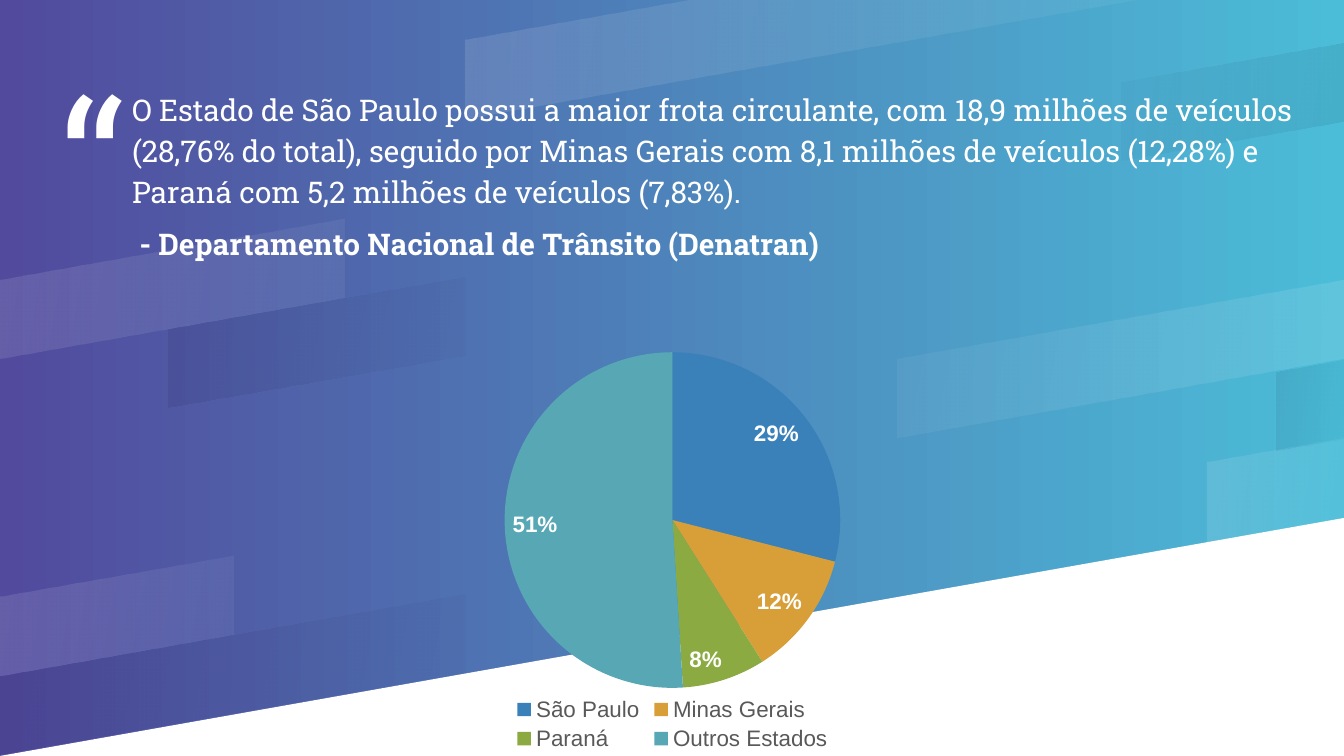
from lxml import etree
from pptx import Presentation
from pptx.chart.data import CategoryChartData
from pptx.dml.color import RGBColor
from pptx.enum.chart import XL_CHART_TYPE, XL_LABEL_POSITION, XL_LEGEND_POSITION
from pptx.enum.text import PP_ALIGN
from pptx.oxml import parse_xml
from pptx.oxml.ns import nsdecls, qn
from pptx.util import Pt

PIE = XL_CHART_TYPE.PIE
INSIDE = XL_LABEL_POSITION.INSIDE_END
BOTTOM = XL_LEGEND_POSITION.BOTTOM
CENTER = PP_ALIGN.CENTER

PX = 9144000 / 1344
WIDE, HIGH = 1344, 756
SLOPE, THICK = 0.177, 79

WHITE = RGBColor(0xFF, 0xFF, 0xFF)
BLACK = RGBColor(0, 0, 0)
NIGHT = RGBColor(0x00, 0x00, 0x1A)
PURPLE = RGBColor(0x51, 0x4A, 0x9D)
CYAN = RGBColor(0x4B, 0xBD, 0xD8)
GRAY = RGBColor(0x59, 0x59, 0x59)
BLUE = RGBColor(0x3A, 0x81, 0xBA)
ORANGE = RGBColor(0xD8, 0x9F, 0x39)
GREEN = RGBColor(0x8B, 0xAB, 0x42)
TEAL = RGBColor(0x57, 0xA7, 0xB5)

# left, right, top at the left edge, colour, opacity at start and end
BANDS = [
    (465, 1140, 40, WHITE, (12, 5)),
    (0, 465, 676, NIGHT, (8, 2)),
    (1208, 1344, 462, WHITE, (12, 5)),
    (0, 233, 597, WHITE, (12, 5)),
    (1276, 1344, 372, NIGHT, (8, 2)),
    (898, 1344, 359, WHITE, (5, 12)),
    (169, 465, 329, NIGHT, (8, 2)),
    (0, 345, 280, WHITE, (12, 5)),
    (1122, 1344, 82, NIGHT, (2, 8)),
]
SHARES = [
    ("São Paulo", 29, BLUE),
    ("Minas Gerais", 12, ORANGE),
    ("Paraná", 8, GREEN),
    ("Outros Estados", 51, TEAL),
]
QUOTE = (
    "O Estado de São Paulo possui a maior frota circulante, com 18,9 milhões "
    "de veículos (28,76% do total), seguido por Minas Gerais com 8,1 milhões "
    "de veículos (12,28%) e Paraná com 5,2 milhões de veículos (7,83%)."
)
SOURCE = " - Departamento Nacional de Trânsito (Denatran)"


def scale(*sizes):
    """Turn pixels into EMU."""
    return [round(size * PX) for size in sizes]


def style(font, name, size, color, bold=False):
    """Set the look of a font."""
    font.name, font.size, font.bold = name, Pt(size), bold
    font.color.rgb = color


def blend(fill, colors, angle):
    """Fill with an even gradient of two colours."""
    fill.gradient()
    fill.gradient_angle = angle
    for stop, color in zip(fill.gradient_stops, colors):
        stop.color.rgb = color


def outline(slide, points):
    """Draw a closed shape without line or shadow."""
    pen = slide.shapes.build_freeform(*points[0], scale=PX)
    pen.add_line_segments(points[1:], close=True)
    shape = pen.convert_to_shape()
    shape.line.fill.background()
    shape.shadow.inherit = False
    return shape


def add_band(slide, left, right, top, color, alphas):
    """Draw a slanted, see-through band, cut at the slide's top."""
    rise = SLOPE * (right - left)
    peak = min(right, round(left + top / SLOPE))
    shape = outline(slide, [
        (left, top),
        (left, top + THICK),
        (right, max(0, round(top + THICK - rise))),
        (peak, max(0, round(top - rise))),
    ])
    blend(shape.fill, (color, color), 350)
    tones = shape._element.spPr.iter(qn("a:srgbClr"))
    for tone, alpha in zip(list(tones), alphas):
        etree.SubElement(tone, qn("a:alpha")).set("val", str(alpha * 1000))


def add_scene(slide):
    """Draw the backdrop, the white wedge and the bands."""
    blend(slide.background.fill, (PURPLE, CYAN), 0)
    wedge = outline(slide, [(0, HIGH), (WIDE, HIGH), (WIDE, 518)])
    wedge.fill.solid()
    wedge.fill.fore_color.rgb = WHITE
    for band in BANDS:
        add_band(slide, *band)


def add_frame(slide, box):
    """Add a wrapping text box without insets."""
    frame = slide.shapes.add_textbox(*scale(*box)).text_frame
    frame.word_wrap = True
    frame.margin_left = frame.margin_right = 0
    frame.margin_top = frame.margin_bottom = 0
    return frame


def add_quote(slide, left, top, width, height):
    """Write the quote and its source, with the mark at the left."""
    mark = add_frame(slide, (left - 97, top - 36, 114, 95)).paragraphs[0]
    mark.alignment = CENTER
    run = mark.add_run()
    run.text = "“"
    style(run.font, "Roboto", 100, WHITE)

    frame = add_frame(slide, (left, top, width, height))
    first = frame.paragraphs[0]
    lines = [(first, QUOTE, False), (frame.add_paragraph(), SOURCE, True)]
    for para, text, bold in lines:
        para.line_spacing = 1.15
        para.space_before = Pt(6)
        run = para.add_run()
        run.text = text
        style(run.font, "Roboto Slab", 16, WHITE, bold)


def set_plot(chart, x, y, w, h):
    """Fix the inner plot area as shares of the chart."""
    area = chart._chartSpace.chart.plotArea
    for old in area.findall(qn("c:layout")):
        area.remove(old)
    area.insert(0, parse_xml(
        f'<c:layout {nsdecls("c")}><c:manualLayout>'
        '<c:layoutTarget val="inner"/>'
        '<c:xMode val="edge"/><c:yMode val="edge"/>'
        f'<c:x val="{x}"/><c:y val="{y}"/><c:w val="{w}"/><c:h val="{h}"/>'
        '</c:manualLayout></c:layout>'))


def add_pie(slide, *box):
    """Add the pie of fleet shares with its legend."""
    names, values, colors = zip(*SHARES)
    data = CategoryChartData()
    data.categories = names
    data.add_series("Series 1", values)
    chart = slide.shapes.add_chart(PIE, *scale(*box), data).chart
    style(chart.font, "Arial", 10, BLACK)
    chart.has_title = False
    chart.has_legend = True
    chart.legend.position = BOTTOM
    chart.legend.include_in_layout = False
    style(chart.legend.font, "Arial", 12, GRAY)
    set_plot(chart, 0.03, 0.05, 0.94, 0.79)

    plot = chart.plots[0]
    plot.vary_by_categories = True
    for index, color in enumerate(colors):
        look = plot.series[0].points[index].format
        look.fill.solid()
        look.fill.fore_color.rgb = color
        look.line.fill.background()
    labels = plot.series[0].data_labels
    labels.show_percentage = True
    labels.show_value = False
    labels.number_format = "0%"
    labels.number_format_is_linked = False
    labels.position = INSIDE
    style(labels.font, "Arial", 12, WHITE, True)


def main():
    """Build the slide and save it."""
    deck = Presentation()
    deck.slide_width, deck.slide_height = scale(WIDE, HIGH)
    slide = deck.slides.add_slide(deck.slide_layouts[6])
    add_scene(slide)
    add_quote(slide, 132, 86, 1171, 388)
    add_pie(slide, 331, 331, 683, 425)
    deck.save("out.pptx")


main()
